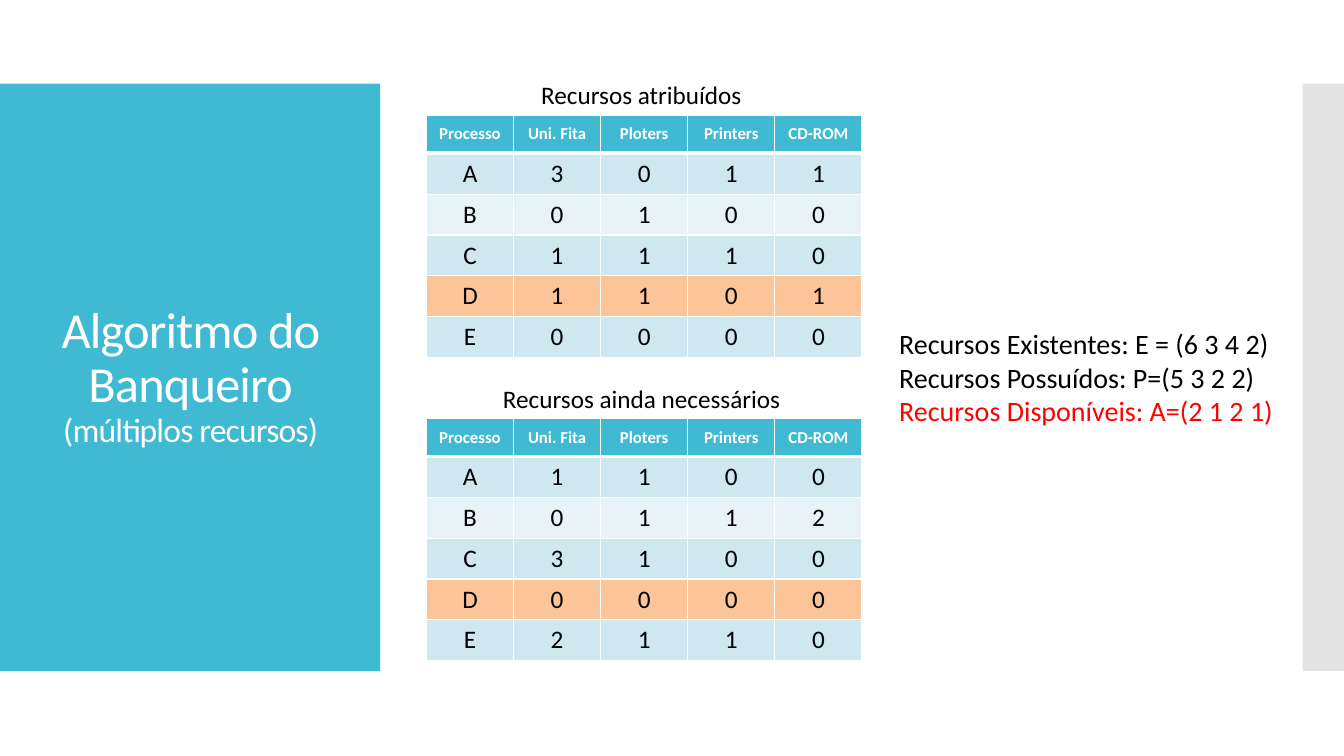
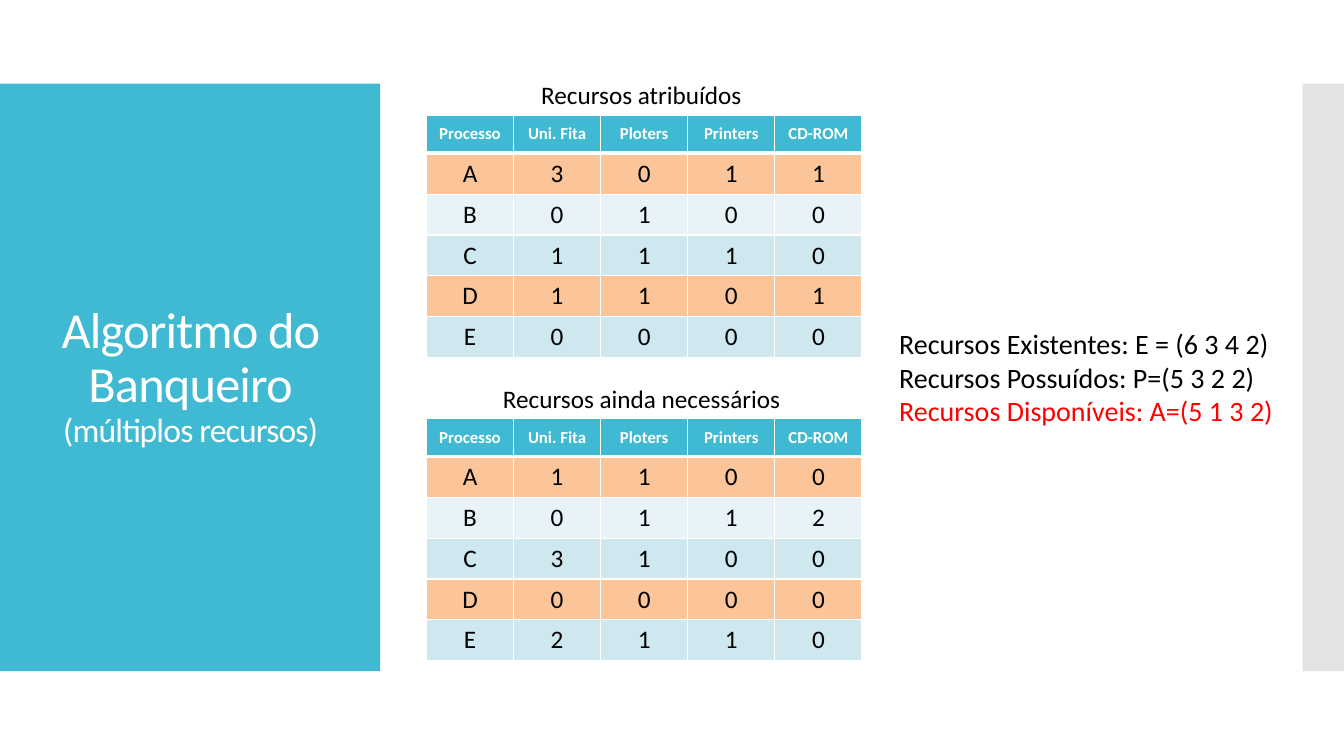
import pptx
import pptx.dml.color
import pptx.enum.shapes
import pptx.enum.text
import pptx.oxml.ns
import pptx.util
from lxml import etree

Inches, Pt = pptx.util.Inches, pptx.util.Pt
RGBColor = pptx.dml.color.RGBColor
Align = pptx.enum.text.PP_ALIGN
Anchor = pptx.enum.text.MSO_ANCHOR
AutoSize = pptx.enum.text.MSO_AUTO_SIZE
qn = pptx.oxml.ns.qn

FONT = "Calibri"
TEAL = RGBColor(0x40, 0xBA, 0xD2)
GREY = RGBColor(0xC8, 0xC8, 0xC8)
WHITE = RGBColor(0xFF, 0xFF, 0xFF)
BLACK = RGBColor(0x00, 0x00, 0x00)
RED = RGBColor(0xFF, 0x00, 0x00)
ORANGE = RGBColor(0xFC, 0xC5, 0x99)
BANDS = (RGBColor(0xCF, 0xE7, 0xEE), RGBColor(0xE8, 0xF3, 0xF7))

HEADER = ("Processo", "Uni. Fita", "Ploters", "Printers", "CD-ROM")
ASSIGNED = ("A3011", "B0100", "C1110", "D1101", "E0000")
NEEDED = ("A1100", "B0112", "C3100", "D0000", "E2110")
TABLES = (
    ("Recursos atribuídos", 5.27, 2.24, 1.14, ASSIGNED),
    ("Recursos ainda necessários", 4.89, 3.02, 4.15, NEEDED),
)
TABLE_LEFT, COL_W, HEADER_H, ROW_H, CAPTION_H = 4.23, 0.864, 0.38, 0.405, 0.4
STEPS = (("D", "2 1 2 1"), ("AD", "5 1 3 2"))


def style(p, size, color, bold=False):
    """Set the font of a whole paragraph."""
    p.font.name, p.font.size, p.font.bold = FONT, Pt(size), bold
    p.font.color.rgb = color


def add_band(slide, layout, left, width, color, alpha=None):
    """Draw a vertical band and place it on the shared layout."""
    sp = slide.shapes.add_shape(
        pptx.enum.shapes.MSO_SHAPE.RECTANGLE,
        Inches(left), Inches(0.83), Inches(width), Inches(5.83))
    sp.shadow.inherit = False
    sp.fill.solid()
    sp.fill.fore_color.rgb = color
    sp.line.fill.background()
    if alpha is not None:
        clr = sp.element.spPr.find(".//" + qn("a:srgbClr"))
        etree.SubElement(clr, qn("a:alpha")).set("val", str(alpha * 1000))
    layout.shapes.element.append(sp.element)


def prepare_layout(layout):
    """Keep only the title placeholder of the layout and position it."""
    for ph in list(layout.placeholders):
        if ph.placeholder_format.idx:
            ph.element.getparent().remove(ph.element)
    title = layout.placeholders[0]
    title.left, title.top = Inches(0.28), Inches(1.23)
    title.width, title.height = Inches(3.22), Inches(5.03)
    title.text_frame.vertical_anchor = Anchor.MIDDLE


def add_title(slide, heading, subtitle):
    """Fill the title placeholder with a heading and a smaller second line."""
    tf = slide.shapes.title.text_frame
    tf.auto_size = AutoSize.NONE
    p = tf.paragraphs[0]
    p.alignment, p.line_spacing = Align.CENTER, 0.9
    style(p, 36, WHITE)
    heading_run = p.add_run()
    heading_run.text = heading
    p.add_line_break()
    subtitle_run = p.add_run()
    subtitle_run.text = subtitle
    subtitle_run.font.size = Pt(24)
    for r in (heading_run, subtitle_run):
        r.font._element.set("spc", "-60")


def add_text(slide, left, top, width, height, size, lines):
    """Add an unwrapped text box with one paragraph per (text, color) pair."""
    sp = slide.shapes.add_textbox(
        Inches(left), Inches(top), Inches(width), Inches(height))
    tf = sp.text_frame
    tf.word_wrap, tf.auto_size = False, AutoSize.SHAPE_TO_FIT_TEXT
    for i, (text, color) in enumerate(lines):
        p = tf.add_paragraph() if i else tf.paragraphs[0]
        p.text = text
        style(p, size, color)


def set_borders(cell, **widths):
    """Give a cell white borders, 1 point wide unless stated by side."""
    tcPr = cell._tc.get_or_add_tcPr()
    for side in "LRTB":
        ln = etree.SubElement(tcPr, qn("a:ln" + side))
        ln.set("w", str(Pt(widths.get(side, 1))))
        fill = etree.SubElement(ln, qn("a:solidFill"))
        etree.SubElement(fill, qn("a:srgbClr")).set("val", str(WHITE))


def fill_cell(cell, text, fill, size, color, bold=False, **borders):
    """Write and format one centred table cell."""
    set_borders(cell, **borders)
    cell.fill.solid()
    cell.fill.fore_color.rgb = fill
    cell.vertical_anchor = Anchor.MIDDLE
    p = cell.text_frame.paragraphs[0]
    p.text, p.alignment = text, Align.CENTER
    style(p, size, color, bold)


def add_resource_table(slide, top, rows, finished):
    """Add a process table that highlights the finished processes."""
    table = slide.shapes.add_table(
        len(rows) + 1, len(HEADER), Inches(TABLE_LEFT), Inches(top),
        Inches(COL_W * len(HEADER)),
        Inches(HEADER_H + ROW_H * len(rows))).table
    table.first_row = table.horz_banding = False
    for i, row in enumerate(table.rows):
        row.height = Inches(ROW_H if i else HEADER_H)
    for col, name in enumerate(HEADER):
        fill_cell(table.cell(0, col), name, TEAL, 12, WHITE, True, B=3)
    for i, row in enumerate(rows):
        fill = ORANGE if row[0] in finished else BANDS[i % 2]
        for col, value in enumerate(row):
            fill_cell(table.cell(i + 1, col), value, fill, 18, BLACK,
                      T=1 if i else 3)


def add_step(slide, finished, available):
    """Build one step of the banker's algorithm."""
    add_title(slide, "Algoritmo do Banqueiro", "(múltiplos recursos)")
    for caption, left, width, top, rows in TABLES:
        add_resource_table(slide, top, rows, finished)
        add_text(slide, left, top - CAPTION_H, width, CAPTION_H, 18,
                 [(caption, BLACK)])
    add_text(slide, 8.82, 3.19, 3.96, 1.11, 20, [
        ("Recursos Existentes: E = (6 3 4 2)", BLACK),
        ("Recursos Possuídos: P=(5 3 2 2)", BLACK),
        (f"Recursos Disponíveis: A=({available})", RED),
    ])


def main():
    """Build and save the presentation."""
    prs = pptx.Presentation()
    prs.slide_width, prs.slide_height = Inches(13.33), Inches(7.5)
    layout = prs.slide_layouts.get_by_name("Title Only")
    prepare_layout(layout)
    slides = [prs.slides.add_slide(layout) for _ in STEPS]
    add_band(slides[0], layout, 0, 3.77, TEAL)
    add_band(slides[0], layout, 12.92, 0.41, GREY, 50)
    for i, sp in enumerate(layout.shapes):
        sp.element.nvSpPr.cNvPr.set("id", str(i + 2))
    for slide, (finished, available) in zip(slides, STEPS):
        add_step(slide, finished, available)
    prs.save("out.pptx")


if __name__ == "__main__":
    main()
